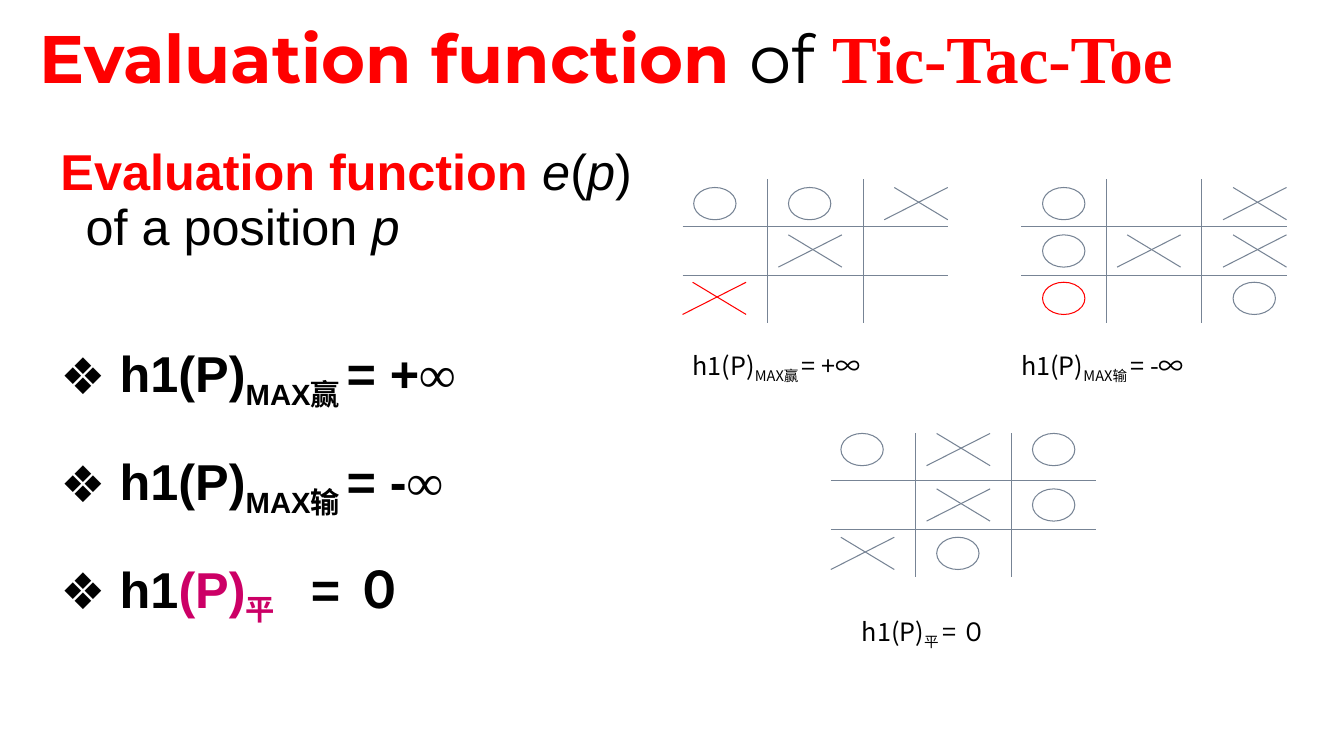
from pptx import Presentation
from pptx.dml.color import RGBColor
from pptx.enum.shapes import MSO_CONNECTOR, MSO_SHAPE
from pptx.enum.text import MSO_ANCHOR, MSO_AUTO_SIZE, PP_ALIGN
from pptx.oxml.ns import qn
from pptx.util import Pt
from lxml.etree import SubElement

RED = RGBColor(0xFF, 0x00, 0x00)
BLACK = RGBColor(0x00, 0x00, 0x00)
PINK = RGBColor(0xCC, 0x00, 0x66)
GREY = RGBColor(0x77, 0x84, 0x95)
SCALE = 9144
CJK = "Noto Sans CJK SC"
SERIF = "Times New Roman"

SUB = {"base": -25}
ITALIC = {"italic": True}
BOLD = {"bold": True}
INFINITY = ("∞", {"name": SERIF, "bold": True})

TITLE = [
    ("Evaluation function ", {"color": RED, "bold": True}),
    ("of ", {}),
    ("Tic-Tac-Toe", {"name": SERIF, "color": RED, "bold": True}),
]
INTRO = [
    ("Evaluation function ", {"color": RED, "bold": True}),
    ("e", ITALIC), ("(", {}), ("p", ITALIC), (") of a position ", {}), ("p", ITALIC),
]
BULLETS = [
    [(" h1(P)", BOLD), ("MAX赢 ", BOLD | SUB), ("= +", BOLD), INFINITY],
    [(" h1(P)", BOLD), ("MAX输 ", BOLD | SUB), ("= -", BOLD), INFINITY],
    [(" h1", BOLD), ("(P)", BOLD | {"color": PINK}),
     ("平 　", BOLD | SUB | {"color": PINK}), ("= ０", BOLD)],
]
BOARDS = [
    {"at": (677, 178), "rows": (8, 55, 102),
     "marks": [("O", 11, 0, GREY), ("O", 105, 0, GREY), ("X", 200, 0, GREY),
               ("X", 95, 1, GREY), ("X", 0, 2, RED)],
     "caption": [("h1(P)", {}), ("MAX赢 ", SUB), ("= +∞", {})],
     "box": (677, 336, 304, 46), "spacing": 1.2},
    {"at": (1013, 178), "rows": (8, 55, 102),
     "marks": [("O", 21, 0, GREY), ("X", 200, 0, GREY), ("O", 21, 1, GREY),
               ("X", 95, 1, GREY), ("X", 200, 1, GREY), ("O", 21, 2, RED),
               ("O", 210, 2, GREY)],
     "caption": [("h1(P)", {}), ("MAX输 ", SUB), ("= -∞", {})],
     "box": (1003, 336, 304, 46), "spacing": 1.2},
    {"at": (824, 430), "rows": (0, 55, 103),
     "marks": [("O", 10, 0, GREY), ("X", 95, 0, GREY), ("O", 200, 0, GREY),
               ("X", 95, 1, GREY), ("O", 200, 1, GREY), ("X", 0, 2, GREY),
               ("O", 105, 2, GREY)],
     "caption": [("h1(P)", {}), ("平 ", SUB), ("= ０", {})],
     "box": (845, 596, 294, 49), "spacing": 1.3},
]
BOARD_W, BOARD_H = 263, 142
ROW_LINES, COLUMN_LINES = (47, 95), (84, 179)
CROSS_W, CROSS_INSET, MARK_H, CIRCLE_W = 63, 10, 32, 42


def px(*lengths):
    return [length * SCALE for length in lengths]


def set_all(target, values):
    for name, value in values.items():
        setattr(target, name, value)


def place(shape, *bounds):
    set_all(shape, dict(zip(("left", "top", "width", "height"), px(*bounds))))


def write(para, runs, size, face, layout):
    set_all(para, {"alignment": PP_ALIGN.LEFT} | layout)
    for text, style in runs:
        values = {"name": face, "bold": False, "italic": False, "size": Pt(size)} | style
        color = values.pop("color", BLACK)
        base = values.pop("base", 0)
        span = para.add_run()
        span.text = text
        set_all(span.font, values)
        span.font.color.rgb = color
        props = span.font._element
        east = SERIF if values["name"] == SERIF else CJK
        SubElement(props, qn("a:ea")).set("typeface", east)
        if base:
            props.set("baseline", str(base * 1000))


def set_bullet(para, char=None):
    props = para._p.get_or_add_pPr()
    props.set("marL", str(75 * SCALE))
    props.set("indent", str(-25 * SCALE))
    if char:
        SubElement(props, qn("a:buChar")).set("char", char)
    else:
        SubElement(props, qn("a:buNone"))


def draw_line(group, x1, y1, x2, y2, color):
    line = group.shapes.add_connector(MSO_CONNECTOR.STRAIGHT, *px(x1, y1, x2, y2))
    set_all(line.line, {"width": Pt(0.75)})
    line.line.color.rgb = color
    SubElement(line._element.spPr, qn("a:effectLst"))


def draw_mark(group, kind, x, y, color):
    if kind == "X":
        draw_line(group, x, y + MARK_H, x + CROSS_W, y, color)
        draw_line(group, x + CROSS_INSET, y, x + CROSS_W, y + MARK_H, color)
        return
    circle = group.shapes.add_shape(MSO_SHAPE.OVAL, *px(x, y, CIRCLE_W, MARK_H))
    circle.shadow.inherit = False
    circle.fill.background()
    circle.line.width = Pt(0.75)
    circle.line.color.rgb = color


def draw_board(page, board):
    group = page.shapes.add_group_shape()
    left, top = board["at"]
    for y in ROW_LINES:
        draw_line(group, left, top + y, left + BOARD_W, top + y, GREY)
    for x in COLUMN_LINES:
        draw_line(group, left + x, top, left + x, top + BOARD_H, GREY)
    for kind, x, row, color in board["marks"]:
        draw_mark(group, kind, left + x, top + board["rows"][row], color)
    box = group.shapes.add_textbox(*px(*board["box"]))
    frame = box.text_frame
    set_all(frame, {"word_wrap": True, "auto_size": MSO_AUTO_SIZE.SHAPE_TO_FIT_TEXT})
    write(frame.paragraphs[0], board["caption"], 18, CJK,
          {"line_spacing": board["spacing"], "space_before": Pt(4)})


def main():
    deck = Presentation()
    set_all(deck, dict(zip(("slide_width", "slide_height"), px(1333, 750))))
    page = deck.slides.add_slide(deck.slide_layouts[1])

    title, body = page.shapes.title, page.placeholders[1]
    place(title, 29, 29, 1304, 65)
    place(body, 0, 141, 656, 542)
    for shape, anchor in ((title, MSO_ANCHOR.MIDDLE), (body, MSO_ANCHOR.TOP)):
        set_all(shape.text_frame, {"word_wrap": True, "auto_size": MSO_AUTO_SIZE.NONE,
                                   "vertical_anchor": anchor})
    write(title.text_frame.paragraphs[0], TITLE, 48, "Montserrat",
          {"line_spacing": 0.9, "space_before": Pt(0)})

    intro = body.text_frame.paragraphs[0]
    write(intro, INTRO, 36, "Arial", {"line_spacing": 0.9, "space_before": Pt(5)})
    set_bullet(intro)
    for index, runs in enumerate(BULLETS):
        para = body.text_frame.add_paragraph()
        write(para, runs, 36, "Arial",
              {"line_spacing": 1.3, "space_before": Pt(5 if index else 47),
               "space_after": Pt(8)})
        set_bullet(para, "❖")

    for board in BOARDS:
        draw_board(page, board)
    deck.save("out.pptx")


if __name__ == "__main__":
    main()
